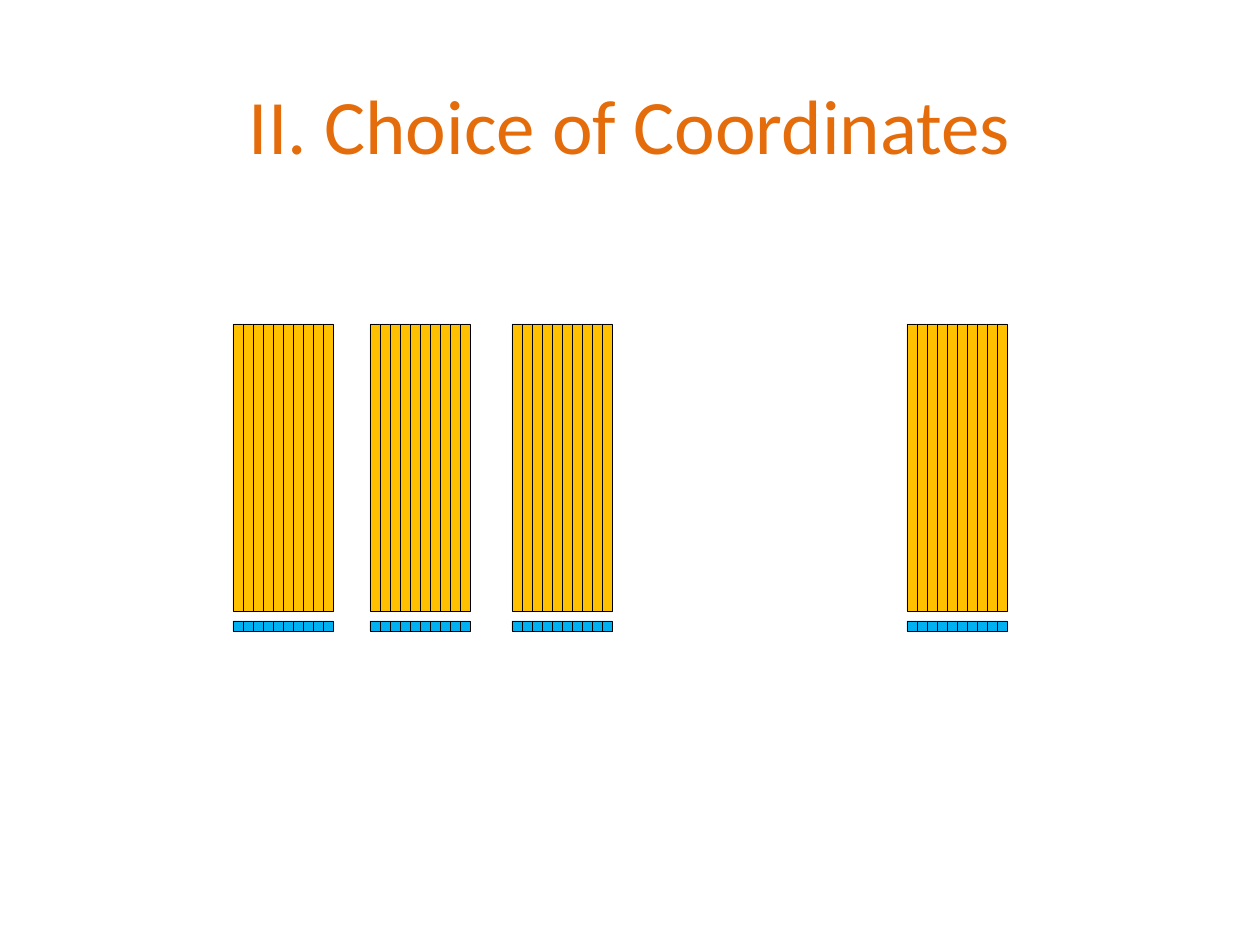
from dataclasses import dataclass

import pptx
import pptx.dml.color
import pptx.enum.shapes
import pptx.enum.text
import pptx.util

PX_PER_INCH = 126
COLORS = {"title": "E46C0A", "long": "FFC000", "square": "00B0F0", "line": "000000"}
CELLS = 10       # rectangles in each strip
CELL_WIDTH = 10  # px
STRIP_LEFTS = (233, 370, 512, 907)


@dataclass(frozen=True)
class Row:
    top: int
    height: int
    color: str


ROWS = (Row(621, 10, "square"), Row(324, 287, "long"))


def px(n: int) -> int:
    return pptx.util.Emu(round(n * 914400 / PX_PER_INCH))


def rgb(name: str) -> pptx.dml.color.RGBColor:
    return pptx.dml.color.RGBColor.from_string(COLORS[name])


def add_title(slide, text: str) -> None:
    sp = slide.shapes.title
    sp.left, sp.top, sp.width, sp.height = px(0), px(45), px(1260), px(158)
    tf = sp.text_frame
    tf.text = text
    tf.vertical_anchor = pptx.enum.text.MSO_ANCHOR.MIDDLE
    p = tf.paragraphs[0]
    p.alignment = pptx.enum.text.PP_ALIGN.CENTER
    r = p.runs[0]
    r.font.name = "Calibri"
    r.font.size = pptx.util.Pt(44)
    r.font.color.rgb = rgb("title")


def add_strip(slide, left: int, row: Row) -> None:
    """Group of equal rectangles standing side by side."""
    group = slide.shapes.add_group_shape()
    for i in range(CELLS):
        sp = group.shapes.add_shape(
            pptx.enum.shapes.MSO_SHAPE.RECTANGLE,
            px(left + i * CELL_WIDTH), px(row.top), px(CELL_WIDTH), px(row.height))
        sp.shadow.inherit = False
        sp.fill.solid()
        sp.fill.fore_color.rgb = rgb(row.color)
        sp.line.color.rgb = rgb("line")
        sp.line.width = pptx.util.Pt(0.25)


def main() -> None:
    prs = pptx.Presentation()
    prs.slide_width, prs.slide_height = px(1260), px(945)
    slide = prs.slides.add_slide(prs.slide_layouts[5])

    add_title(slide, "II. Choice of Coordinates")

    # Short squares first, then the long strips above them
    for row in ROWS:
        for left in STRIP_LEFTS:
            add_strip(slide, left, row)

    prs.save("out.pptx")


if __name__ == "__main__":
    main()
